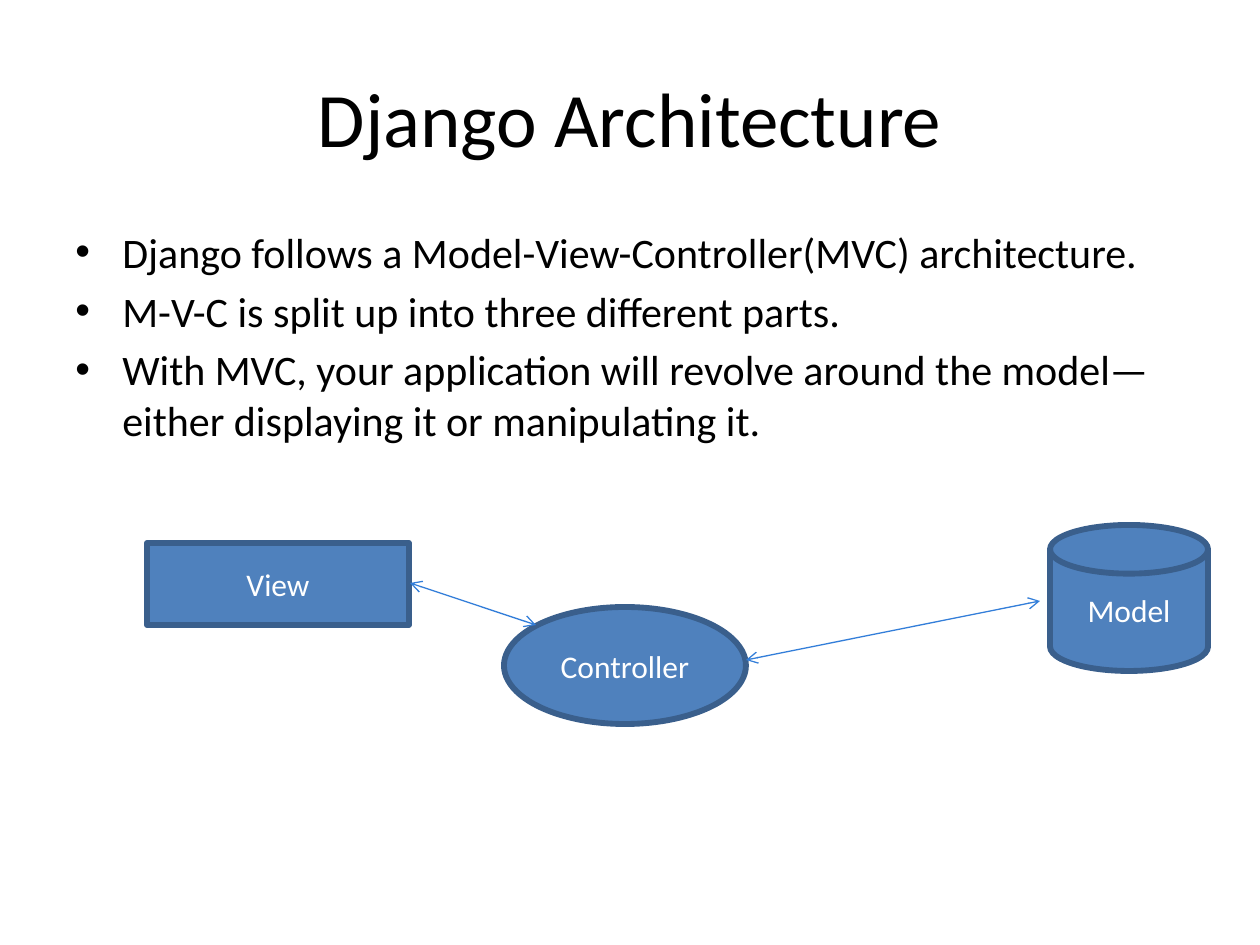
import pptx
import pptx.dml.color
import pptx.enum.shapes
import pptx.enum.text
import pptx.oxml.ns
import pptx.util
import lxml.etree

RGB = pptx.dml.color.RGBColor
BLACK = RGB(0x00, 0x00, 0x00)
WHITE = RGB(0xFF, 0xFF, 0xFF)
BLUE = RGB(0x4F, 0x81, 0xBD)
EDGE = RGB(0x3A, 0x5F, 0x8C)
LINK = RGB(0x33, 0x7E, 0xD9)
KIND = pptx.enum.shapes.MSO_SHAPE
ALIGN = pptx.enum.text.PP_ALIGN
ANCHOR = pptx.enum.text.MSO_ANCHOR
SCALE = 914400 / 126


def emu(*sizes):
    return [round(size * SCALE) for size in sizes]


def add(parent, tag, **attrs):
    return lxml.etree.SubElement(parent, pptx.oxml.ns.qn(tag), **attrs)


def write(frame, lines, size, color, font="Calibri", align=ALIGN.CENTER,
          anchor=ANCHOR.MIDDLE, before=0, indent=0):
    frame.word_wrap = True
    frame.vertical_anchor = anchor
    for index, line in enumerate(lines):
        para = frame.add_paragraph() if index else frame.paragraphs[0]
        para.alignment = align
        para.space_before = pptx.util.Pt(before)
        run = para.add_run()
        run.text = line
        run.font.name = font
        run.font.size = pptx.util.Pt(size)
        run.font.color.rgb = color
        if indent:
            props = para._p.get_or_add_pPr()
            hang = emu(indent)[0]
            props.set("marL", str(hang))
            props.set("indent", str(-hang))
            add(props, "a:buFont", typeface="Arial")
            add(props, "a:buChar", char="•")


class Deck:
    """Draw styled elements on the current slide, measured in px."""

    def __init__(self, width, height):
        self.show = pptx.Presentation()
        self.show.slide_width, self.show.slide_height = emu(width, height)
        self.slide = self.show.slides.add_slide(self.show.slide_layouts[6])
        self.edge = pptx.util.Pt(3.35)
        self.thin = pptx.util.Pt(0.75)

    def text(self, box, lines, **style):
        shape = self.slide.shapes.add_textbox(*emu(*box))
        write(shape.text_frame, lines, **style)

    def node(self, kind, box, label):
        shape = self.slide.shapes.add_shape(kind, *emu(*box))
        shape.shadow.inherit = False
        shape.fill.solid()
        shape.fill.fore_color.rgb = BLUE
        shape.line.color.rgb = EDGE
        shape.line.width = self.edge
        write(shape.text_frame, [label], size=18, color=WHITE)

    def arrow(self, start, end):
        line = self.slide.shapes.add_connector(
            pptx.enum.shapes.MSO_CONNECTOR.STRAIGHT, *emu(*start, *end))
        line.line.color.rgb = LINK
        line.line.width = self.thin
        stroke = line.line._get_or_add_ln()
        for tag in ("a:headEnd", "a:tailEnd"):
            add(stroke, tag, type="arrow")
        add(line._element.spPr, "a:effectLst")


def main():
    deck = Deck(1260, 945)
    deck.text((63, 38, 1134, 158), ["Django Architecture"], size=44, color=BLACK)
    deck.text((63, 220, 1134, 624), [
        "Django follows a Model-View-Controller(MVC) architecture.",
        "M-V-C is split up into three different parts.",
        "With MVC, your application will revolve around the model—either "
        "displaying it or manipulating it.",
    ], size=24, color=BLACK, align=ALIGN.LEFT, anchor=ANCHOR.TOP,
        before=4.8, indent=47)
    deck.node(KIND.FLOWCHART_PROCESS, (147, 543, 262, 82), "View")
    deck.node(KIND.FLOWCHART_MAGNETIC_DISK, (1050, 525, 158, 146), "Model")
    deck.node(KIND.FLOWCHART_CONNECTOR, (504, 607, 242, 117), "Controller")
    deck.arrow((410, 583), (536, 625))
    deck.arrow((746, 660), (1040, 601))
    deck.show.save("out.pptx")


if __name__ == "__main__":
    main()
